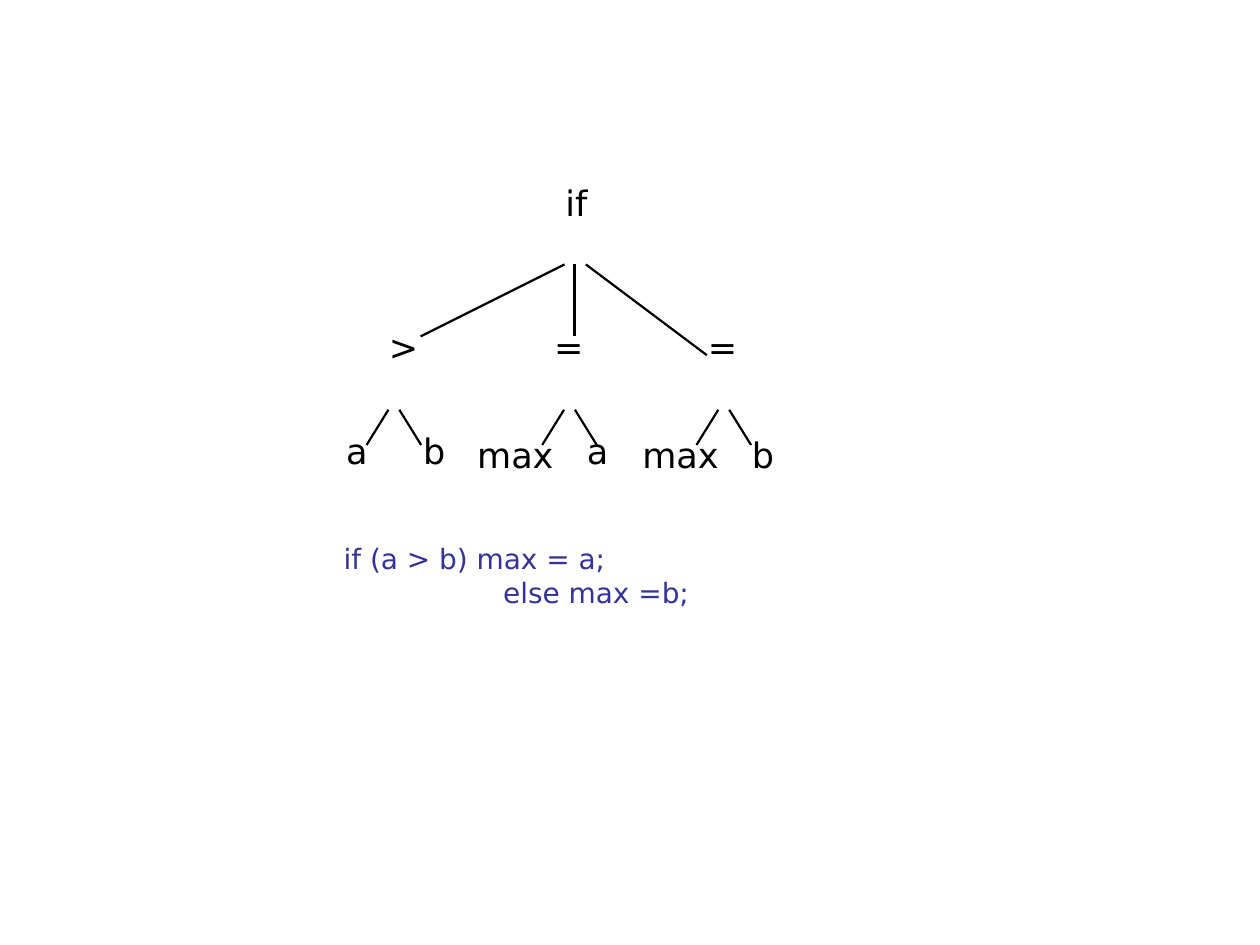
from dataclasses import dataclass

from lxml.etree import SubElement
from pptx import Presentation
from pptx.dml.color import RGBColor
from pptx.enum.shapes import MSO_CONNECTOR
from pptx.enum.text import MSO_AUTO_SIZE
from pptx.oxml.ns import qn
from pptx.slide import Slide
from pptx.util import Cm, Pt

BLACK = RGBColor(0x00, 0x00, 0x00)
BLUE = RGBColor(0x33, 0x33, 0x99)
FONT = "DejaVu Sans"


@dataclass
class Label:
    text: str
    left: float
    top: float
    width: float = 1.32
    height: float = 1.12
    size: int = 20
    color: RGBColor = BLACK


@dataclass
class Edge:
    x1: float
    y1: float
    x2: float
    y2: float


# Tree nodes, row by row (cm)
NODES = [
    Label("if", 11.15, 3.53),
    Label(">", 7.59, 6.43),
    Label("=", 10.92, 6.43),
    Label("=", 14.02, 6.43),
    Label("a", 6.73, 8.53),
    Label("b", 8.28, 8.53),
    Label("max", 9.37, 8.61, 2.21),
    Label("a", 11.58, 8.53),
    Label("max", 12.7, 8.61, 2.21),
    Label("b", 14.91, 8.61),
]

# The code that the tree stands for
CODE = Label(" if (a > b) max = a;\v                   else max =b;",
             6.5, 10.8, 10.64, 1.7, 16, BLUE)

# Edges from the root, then a fork under each operator
ROOT = [
    Edge(11.38, 5.33, 8.48, 6.78),
    Edge(11.58, 5.33, 11.58, 6.78),
    Edge(11.81, 5.33, 14.25, 7.16),
]
FORKS = [
    Edge(mid + side * 0.11, 8.26, mid + side * 0.55, 8.97)
    for mid in (7.94, 11.48, 14.59)
    for side in (-1, 1)
]


def add_label(slide: Slide, label: Label) -> None:
    box = slide.shapes.add_textbox(Cm(label.left), Cm(label.top),
                                   Cm(label.width), Cm(label.height))
    frame = box.text_frame
    frame.word_wrap = True
    frame.auto_size = MSO_AUTO_SIZE.SHAPE_TO_FIT_TEXT
    frame.text = label.text
    for run in frame.paragraphs[0].runs:
        run.font.name = FONT
        run.font.size = Pt(label.size)
        run.font.color.rgb = label.color


def add_edge(slide: Slide, edge: Edge) -> None:
    line = slide.shapes.add_connector(
        MSO_CONNECTOR.STRAIGHT, Cm(edge.x1), Cm(edge.y1),
        Cm(edge.x2), Cm(edge.y2))
    line.line.color.rgb = BLACK
    line.line.width = Pt(1.25)
    SubElement(line._element.spPr, qn("a:effectLst"))


def main() -> None:
    deck = Presentation()
    deck.slide_width, deck.slide_height = Cm(25.4), Cm(19.05)
    slide = deck.slides.add_slide(deck.slide_layouts[6])
    for edge in ROOT + FORKS:
        add_edge(slide, edge)
    for label in NODES + [CODE]:
        add_label(slide, label)
    deck.save("out.pptx")


if __name__ == "__main__":
    main()
